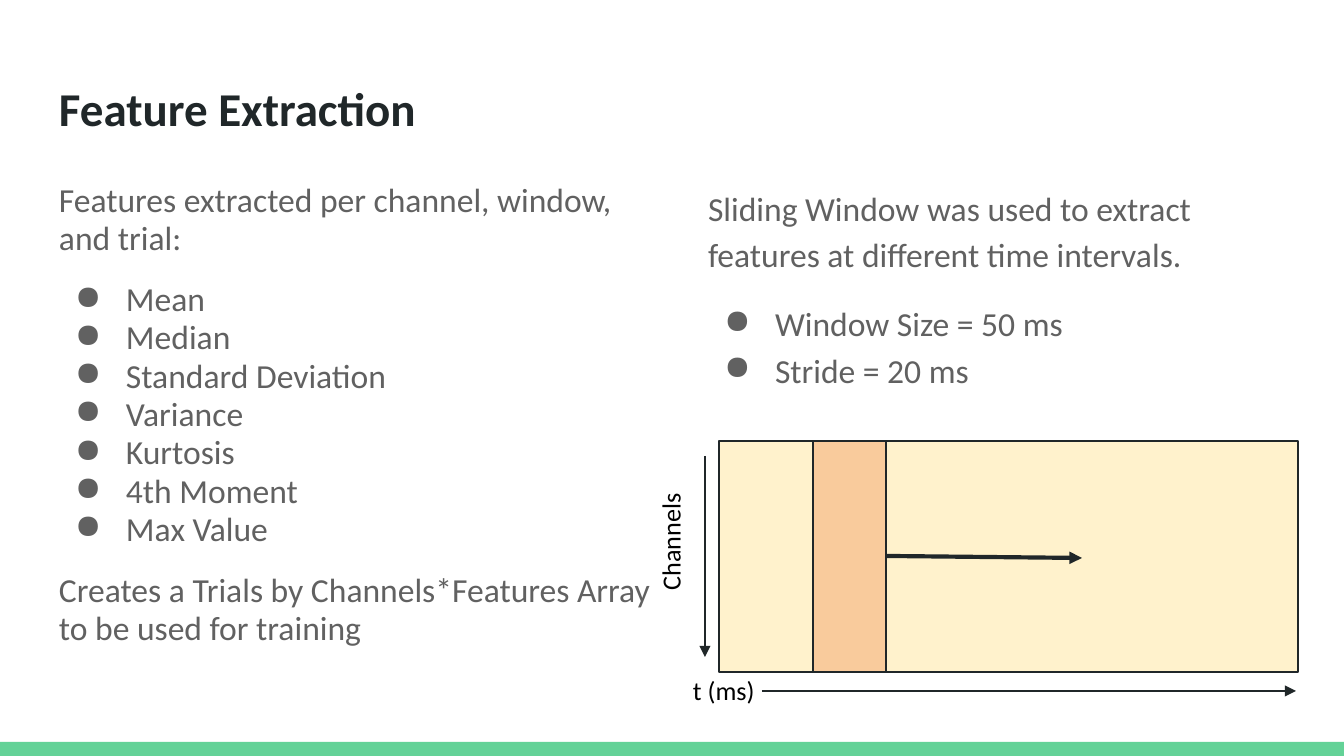
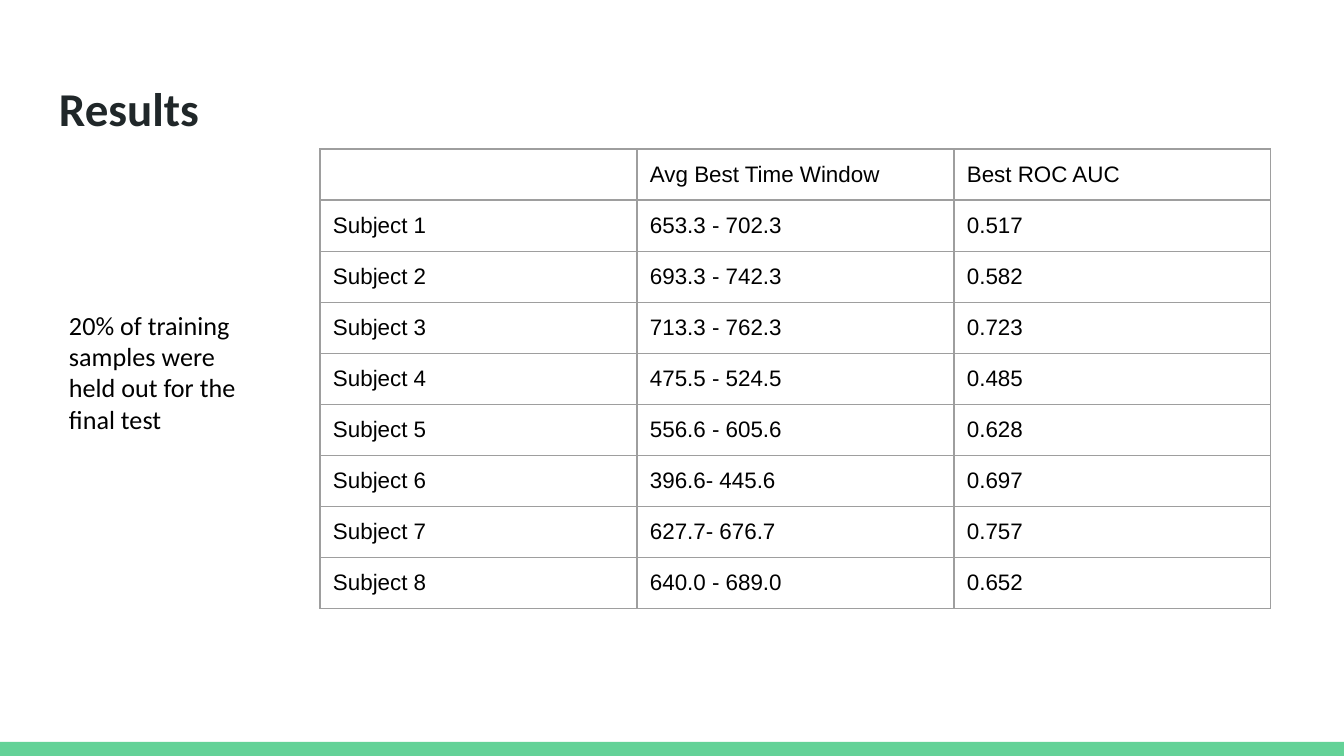
import lxml.etree
import pptx
import pptx.dml.color
import pptx.enum.shapes
import pptx.enum.text
import pptx.oxml.ns
import pptx.util

RGBColor = pptx.dml.color.RGBColor
WHITE = RGBColor(0xFF, 0xFF, 0xFF)
BLACK = RGBColor(0x00, 0x00, 0x00)
INK = RGBColor(0x20, 0x27, 0x29)
GREY = RGBColor(0x61, 0x61, 0x61)
BORDER = RGBColor(0x9E, 0x9E, 0x9E)
GREEN = RGBColor(0x63, 0xD2, 0x97)
CREAM = RGBColor(0xFF, 0xF2, 0xCC)
ORANGE = RGBColor(0xF9, 0xCB, 0x9C)

SLIDE_WIDTH, SLIDE_HEIGHT = 1344, 756
SCALE = 9144000 / SLIDE_WIDTH
INSET = 13
BAND_HEIGHT = 14
TITLE_BOX = (46, 66, 1252, 85)

FEATURES = ["Mean", "Median", "Standard Deviation", "Variance", "Kurtosis", "4th Moment", "Max Value"]
RESULTS = [
    ("", "Avg Best Time Window", "Best ROC AUC"),
    ("Subject 1", "653.3 - 702.3", "0.517"),
    ("Subject 2", "693.3 - 742.3", "0.582"),
    ("Subject 3", "713.3 - 762.3", "0.723"),
    ("Subject 4", "475.5 - 524.5", "0.485"),
    ("Subject 5", "556.6 - 605.6", "0.628"),
    ("Subject 6", "396.6- 445.6", "0.697"),
    ("Subject 7", "627.7- 676.7", "0.757"),
    ("Subject 8", "640.0 - 689.0", "0.652"),
]


def px(*lengths):
    return [pptx.util.Emu(round(length * SCALE)) for length in lengths]


def add_xml(parent, tag, **attributes):
    return lxml.etree.SubElement(parent, pptx.oxml.ns.qn(tag), attributes)


# Shared text and shape helpers
def set_insets(target):
    target.margin_left, target.margin_top, target.margin_right, target.margin_bottom = px(*[INSET] * 4)


def set_font(paragraph, size, color, name="Calibri", bold=False):
    font = paragraph.font
    font.name, font.size, font.bold = name, pptx.util.Pt(size), bold
    font.color.rgb = color


def add_text_frame(slide, box):
    frame = slide.shapes.add_textbox(*px(*box)).text_frame
    frame.word_wrap = True
    set_insets(frame)
    return frame


def add_label(slide, box, text, rotation=0):
    shape = slide.shapes.add_textbox(*px(*box))
    shape.rotation = rotation
    frame = shape.text_frame
    frame.word_wrap = True
    set_insets(frame)
    frame.text = text
    set_font(frame.paragraphs[0], 14, BLACK)


def add_rectangle(slide, box, fill, outline=None):
    shape = slide.shapes.add_shape(pptx.enum.shapes.MSO_SHAPE.RECTANGLE, *px(*box))
    shape.shadow.inherit = False
    shape.fill.solid()
    shape.fill.fore_color.rgb = fill
    if outline is None:
        shape.line.fill.background()
    else:
        shape.line.color.rgb = outline
        shape.line.width = pptx.util.Pt(0.75)
    return shape


def add_arrow(slide, start, end, width=0.75):
    arrow = slide.shapes.add_connector(pptx.enum.shapes.MSO_CONNECTOR.STRAIGHT, *px(*start, *end))
    arrow.line.color.rgb = INK
    arrow.line.width = pptx.util.Pt(width)
    add_xml(arrow.line._get_or_add_ln(), "a:tailEnd", type="triangle")
    add_xml(arrow.element.spPr, "a:effectLst")


def add_bullet(paragraph):
    marker = paragraph._p.get_or_add_pPr()
    left, indent = px(67, -51)
    marker.set("marL", str(left))
    marker.set("indent", str(indent))
    add_xml(add_xml(marker, "a:buClr"), "a:srgbClr", val=str(GREY))
    add_xml(marker, "a:buChar", char="●")


# Master: white background and green band
def style_master(presentation, slide):
    master = presentation.slide_master
    master.background.fill.solid()
    master.background.fill.fore_color.rgb = WHITE
    band = add_rectangle(slide, (0, SLIDE_HEIGHT - BAND_HEIGHT, SLIDE_WIDTH, BAND_HEIGHT), GREEN)
    band.element.nvSpPr.cNvPr.set("id", "100")
    master.shapes.element.insert(2, band.element)


def add_titled_slide(presentation, text):
    slide = presentation.slides.add_slide(presentation.slide_layouts[5])
    title = slide.shapes.title
    title.left, title.top, title.width, title.height = px(*TITLE_BOX)
    frame = title.text_frame
    frame.text = text
    frame.auto_size = pptx.enum.text.MSO_AUTO_SIZE.NONE
    frame.vertical_anchor = pptx.enum.text.MSO_ANCHOR.TOP
    set_insets(frame)
    paragraph = frame.paragraphs[0]
    paragraph.alignment = pptx.enum.text.PP_ALIGN.LEFT
    set_font(paragraph, 25.2, INK, bold=True)
    return slide


# Column of text: an introduction, bullets and an optional conclusion
def add_column(slide, box, introduction, bullets, line_spacing, conclusion=None):
    frame = add_text_frame(slide, box)
    lines = [introduction, *bullets] + ([conclusion] if conclusion else [])
    for index, text in enumerate(lines):
        paragraph = frame.paragraphs[0] if index == 0 else frame.add_paragraph()
        paragraph.text = text
        if text in bullets:
            add_bullet(paragraph)
        paragraph.line_spacing = line_spacing
        if index == 1 or text == conclusion:
            paragraph.space_before = pptx.util.Pt(12)
        if text == conclusion:
            paragraph.space_after = pptx.util.Pt(12)
        set_font(paragraph, 18, GREY)


# Sliding window diagram with its two axes
def add_window_diagram(slide, box):
    left, top, width, height = box
    window_left, window_width = left + 94, 73
    window_right = window_left + window_width
    middle = top + height // 2
    add_rectangle(slide, box, CREAM, INK)
    add_rectangle(slide, (window_left, top, window_width, height), ORANGE, INK)
    add_label(slide, (left - 39, top + 220, 138, 59), "t (ms)")
    add_arrow(slide, (left + 43, top + 250), (left + width - 2, top + 250))
    add_arrow(slide, (left - 14, top + 15), (left - 14, top + 216))
    add_label(slide, (left - 117, top + 64, 138, 59), "Channels", rotation=270)
    add_arrow(slide, (window_right, middle), (window_right + 196, middle + 2), 2.25)


# Table of results per subject
def style_cell(cell, text):
    cell.text = text
    set_font(cell.text_frame.paragraphs[0], 12, BLACK, "Arial")
    set_insets(cell)
    properties = cell._tc.get_or_add_tcPr()
    for side in ("L", "R", "T", "B"):
        line = add_xml(properties, f"a:ln{side}", w=str(pptx.util.Pt(0.75)))
        add_xml(add_xml(line, "a:solidFill"), "a:srgbClr", val=str(BORDER))
    cell.fill.background()


def add_results_table(slide, left, top, column_width, row_height):
    rows, columns = len(RESULTS), len(RESULTS[0])
    box = px(left, top, columns * column_width, rows * row_height)
    table = slide.shapes.add_table(rows, columns, *box).table
    table.first_row = table.horz_banding = False
    for column in table.columns:
        column.width = px(column_width)[0]
    for row, values in zip(table.rows, RESULTS):
        row.height = px(row_height)[0]
        for cell, text in zip(row.cells, values):
            style_cell(cell, text)


def build_feature_slide(presentation):
    slide = add_titled_slide(presentation, "Feature Extraction")
    style_master(presentation, slide)
    add_column(slide, (46, 169, 626, 503), "Features extracted per channel, window, and trial:",
               FEATURES, 0.95, "Creates a Trials by Channels*Features Array to be used for training")
    add_column(slide, (695, 169, 626, 503),
               "Sliding Window was used to extract features at different time intervals.",
               ["Window Size = 50 ms", "Stride = 20 ms"], 1.15)
    add_window_diagram(slide, (719, 441, 579, 231))


def build_results_slide(presentation):
    slide = add_titled_slide(presentation, "Results")
    add_results_table(slide, 320, 149, 317, 46)
    add_label(slide, (56, 296, 219, 153), "20% of training samples were held out for the final test")


def main():
    presentation = pptx.Presentation()
    presentation.slide_width, presentation.slide_height = px(SLIDE_WIDTH, SLIDE_HEIGHT)
    build_feature_slide(presentation)
    build_results_slide(presentation)
    presentation.save("out.pptx")


if __name__ == "__main__":
    main()
